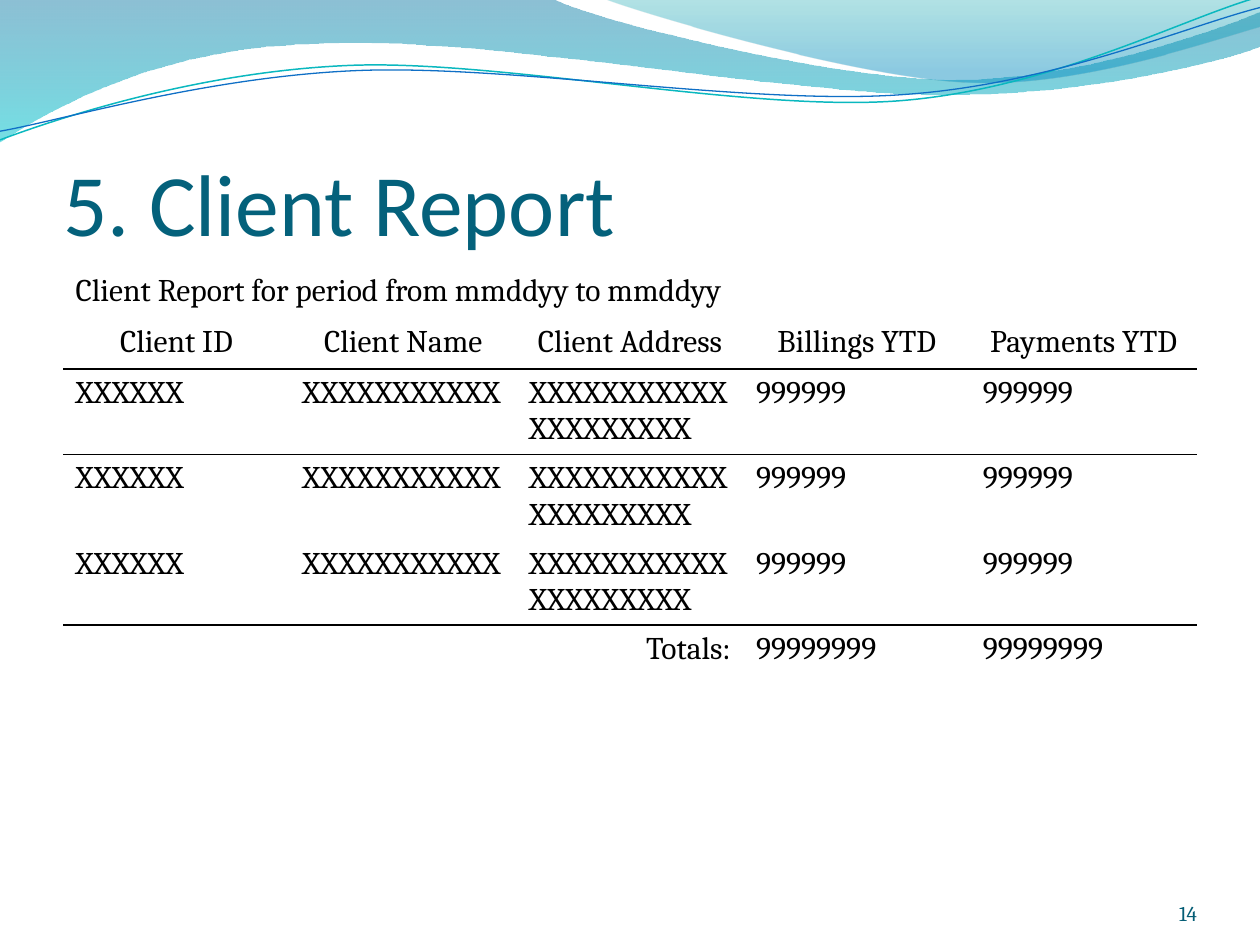
from lxml import etree
from pptx import Presentation
from pptx.dml.color import RGBColor
from pptx.enum.text import MSO_ANCHOR, PP_ALIGN
from pptx.oxml.ns import qn
from pptx.util import Pt

LEFT, CENTER, RIGHT = PP_ALIGN.LEFT, PP_ALIGN.CENTER, PP_ALIGN.RIGHT
BOTTOM = MSO_ANCHOR.BOTTOM

THEME = {
    "title": ("Calibri", 50, "04617B"),
    "body": ("Cambria", 18, "000000"),
    "number": ("Cambria", 12, "045D75"),
    "rule": "000000",
}

TITLE = "5. Client Report"
PAGE_NUMBER = "14"
CAPTION = "Client Report for period from mmddyy to mmddyy"
HEADERS = ["Client ID", "Client Name", "Client Address", "Billings YTD", "Payments YTD"]
CLIENT = ["X" * 6, "X" * 11, "X" * 20, "9" * 6, "9" * 6]
TOTALS = ["", "", "Totals:", "9" * 8, "9" * 8]
ROWS = [[CAPTION, "", "", "", ""], HEADERS, CLIENT, CLIENT, CLIENT, TOTALS]
RULED_ROWS = {1, 2, 4}  # rows with a line below them
TABLE_LEFT, TABLE_TOP, TABLE_HEIGHT = 36, 152.4, 303.8
COL_WIDTH, ROW_HEIGHT = 129.6, 29.2

# Outlines in points: a start, then lines (x, y) or Bezier curves (six numbers)
# Gradient stops: position, colour, opacity in percent
WAVES = [
    ((0, 0), [(316.8, -0.5), (342.7, 12.2, 478.1, 45.4, 545.8, 45.4),
              (614.2, 45.4, 689.8, 18.7, 720, 6.5), (720.7, 25.9),
              (707.8, 31.7, 626.4, 54.7, 537.1, 54),
              (447.8, 54, 275, 20.2, 185, 24.5),
              (92.9, 25.9, 33.1, 59.8, -0.7, 81.4), (0, 0)],
     [(0, "0074A1", 45), (1, "00C6CF", 55)]),
    ((344.9, -0.7), [(366.5, 7.9, 491, 44.6, 553.7, 46.8),
                     (616.3, 49.7, 691.9, 23, 720, 15.1), (720, 0),
                     (344.9, -0.7)],
     [(0, "00A1A9", 30), (0.8, "008BBF", 45)]),
]
SWOOSHES = [
    ((-1.4, 63), [(33.8, 51.7, 114.1, 29.4, 199.8, 29.9),
                  (284.9, 30.3, 425.8, 67.3, 512.4, 64.9),
                  (599, 62.4, 676.5, 25.7, 720.2, 15.5)], "0AB8BF", 0.85),
    ((-1.1, 58), [(32.9, 53.8, 118.3, 32.5, 204.1, 33),
                  (290.6, 33.4, 428.9, 63.8, 515.5, 61.4),
                  (601.3, 59.6, 678.5, 30.1, 721.4, 21.3)], "0F6FC6", 0.75),
]
SWOOSH_ROTATION = 357.3


def add_outline(s, start, segments, close):
    """Build a freeform through all points, then turn each triple into a curve."""
    points = [(Pt(x), Pt(y)) for seg in segments for x, y in zip(seg[::2], seg[1::2])]
    builder = s.shapes.build_freeform(Pt(start[0]), Pt(start[1]), scale=1.0)
    builder.add_line_segments(points, close=close)
    sp = builder.convert_to_shape()
    sp.shadow.inherit = False
    lines = iter(list(sp._element.spPr.iter(qn("a:lnTo"))))
    for seg in segments:
        first = next(lines)
        if len(seg) == 6:
            curve = etree.Element(qn("a:cubicBezTo"))
            first.addprevious(curve)
            for line in (first, next(lines), next(lines)):
                curve.append(line[0])
                line.getparent().remove(line)
    return sp


def add_wave(s, start, segments, stops):
    sp = add_outline(s, start, segments, True)
    sp.line.fill.background()
    sp.fill.gradient()
    sp.fill.gradient_angle = 270
    for stop, (position, color, _) in zip(sp.fill.gradient_stops, stops):
        stop.position = position
        stop.color.rgb = RGBColor.from_string(color)
    colors = sp._element.spPr.iter(qn("a:srgbClr"))
    for node, (_, _, opacity) in zip(list(colors), stops):
        etree.SubElement(node, qn("a:alpha"), val=str(opacity * 1000))


def add_swoosh(s, start, segments, color, width):
    sp = add_outline(s, start, segments, False)
    sp.rotation = SWOOSH_ROTATION
    sp.fill.background()
    sp.line.color.rgb = RGBColor.from_string(color)
    sp.line.width = Pt(width)


def write(tf, text, style, align=LEFT):
    p = tf.paragraphs[0]
    p.alignment = align
    r = p.add_run()
    r.text = text
    font, size, color = THEME[style]
    r.font.name, r.font.size = font, Pt(size)
    r.font.color.rgb = RGBColor.from_string(color)


def place(sp, left, top, width, height):
    sp.left, sp.top, sp.width, sp.height = Pt(left), Pt(top), Pt(width), Pt(height)


def set_frame(tf, inset_top=0):
    tf.word_wrap = True
    tf.vertical_anchor = BOTTOM
    tf.margin_left = tf.margin_right = tf.margin_bottom = 0
    tf.margin_top = Pt(inset_top)


def set_borders(cell, row):
    tc_pr = cell._tc.get_or_add_tcPr()
    ruled = {"lnL": False, "lnR": False,
             "lnT": row - 1 in RULED_ROWS, "lnB": row in RULED_ROWS}
    for tag, shown in ruled.items():
        ln = etree.SubElement(tc_pr, qn("a:" + tag), w=str(Pt(1)))
        if shown:
            fill = etree.SubElement(ln, qn("a:solidFill"))
            etree.SubElement(fill, qn("a:srgbClr"), val=THEME["rule"])
        else:
            etree.SubElement(ln, qn("a:noFill"))


def add_report(s):
    n_rows, n_cols = len(ROWS), len(HEADERS)
    frame = s.shapes.add_table(n_rows, n_cols, Pt(TABLE_LEFT), Pt(TABLE_TOP),
                               Pt(COL_WIDTH * n_cols), Pt(ROW_HEIGHT * n_rows))
    frame.height = Pt(TABLE_HEIGHT)
    table = frame.table
    table.first_row = table.horz_banding = False
    for i, row in enumerate(ROWS):
        for j, text in enumerate(row):
            cell = table.cell(i, j)
            set_borders(cell, i)
            cell.fill.background()
            if text:
                align = CENTER if row is HEADERS else RIGHT if text == "Totals:" else LEFT
                write(cell.text_frame, text, "body", align)
    table.cell(0, 0).merge(table.cell(0, n_cols - 1))


def main():
    prs = Presentation()
    prs.slide_width, prs.slide_height = Pt(720), Pt(540)
    s = prs.slides.add_slide(prs.slide_layouts[5])
    for wave in WAVES:
        add_wave(s, *wave)
    for swoosh in SWOOSHES:
        add_swoosh(s, *swoosh)

    title = s.shapes.title
    s.shapes._spTree.append(title._element)  # in front of the waves
    place(title, 36, 55.4, 648, 90)
    set_frame(title.text_frame, 3.6)
    write(title.text_frame, TITLE, "title")

    add_report(s)

    number = s.shapes.add_textbox(Pt(624), Pt(500.4), Pt(60), Pt(28.8))
    set_frame(number.text_frame)
    write(number.text_frame, PAGE_NUMBER, "number", RIGHT)
    prs.save("out.pptx")


if __name__ == "__main__":
    main()
